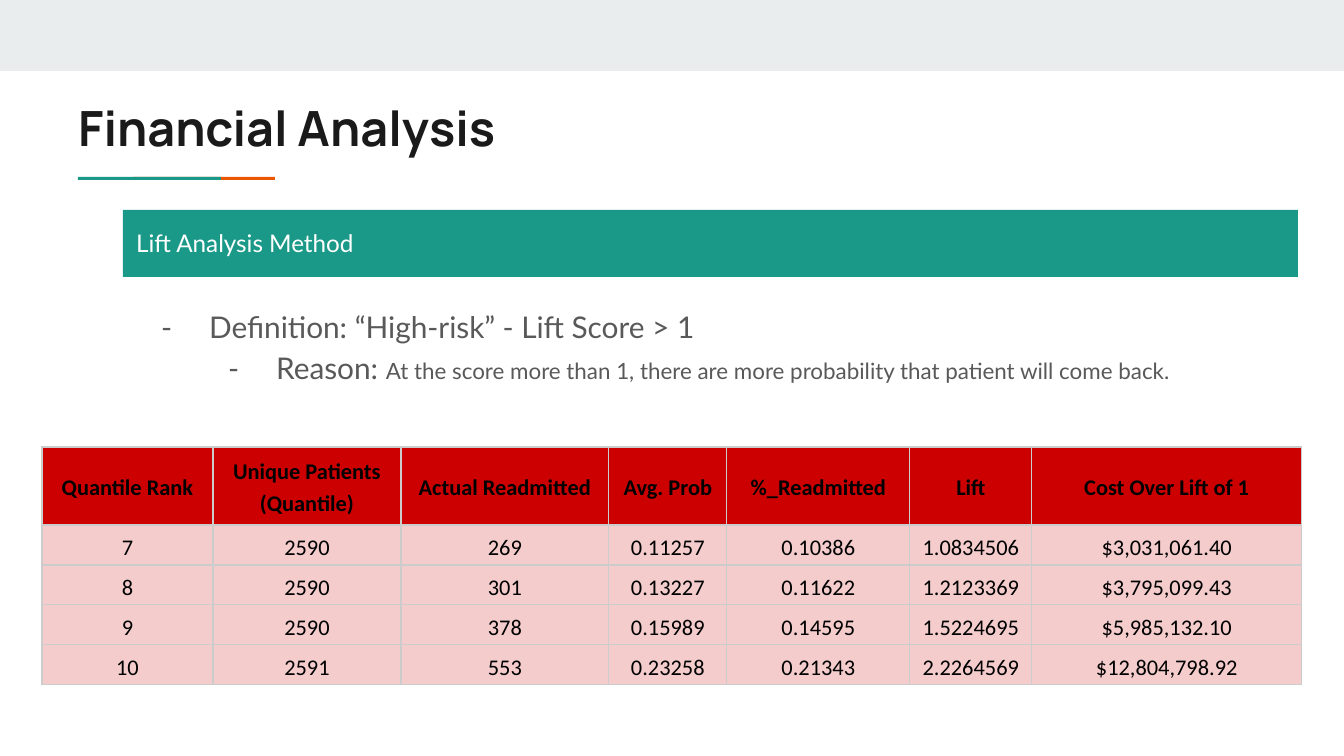
from lxml.etree import SubElement
from pptx import Presentation
from pptx.dml.color import RGBColor
from pptx.enum.shapes import MSO_SHAPE
from pptx.enum.text import MSO_ANCHOR, PP_ALIGN
from pptx.oxml.ns import qn
from pptx.util import Emu, Pt

COLORS = {
    "band": "E9EDEE", "teal": "1A9988", "orange": "EB5600", "title": "1A1A1A",
    "body": "595959", "white": "FFFFFF", "black": "000000",
    "header": "CC0000", "row": "F4CCCC", "border": "CCCCCC",
}

TITLE = "Financial Analysis"
BANNER = "Lift Analysis Method"
BULLETS = [
    [("Definition: “High-risk” - Lift Score > 1", 16)],
    [("Reason: ", 16),
     ("At the score more than 1, there are more probability that patient will come back.", 12)],
]
TABLE = [
    ["Quantile Rank", "Unique Patients\n(Quantile)", "Actual Readmitted", "Avg. Prob",
     "%_Readmitted", "Lift", "Cost Over Lift of 1"],
    ["7", "2590", "269", "0.11257", "0.10386", "1.0834506", "$3,031,061.40"],
    ["8", "2590", "301", "0.13227", "0.11622", "1.2123369", "$3,795,099.43"],
    ["9", "2590", "378", "0.15989", "0.14595", "1.5224695", "$5,985,132.10"],
    ["10", "2591", "553", "0.23258", "0.21343", "2.2264569", "$12,804,798.92"],
]
COL_WIDTHS = [171, 188, 208, 118, 183, 122, 270]
HEADER_HEIGHT, ROW_HEIGHT = 78, 40
RECTS = [  # left, top, width, height, colour
    (0, 0, 1344, 71, "band"),
    (133, 177, 142, 3, "orange"),
    (78, 177, 143, 3, "teal"),
]
LINE_SPACING = 1.15


def px(n):
    return Emu(round(n * 914400 / 134.4))


def rgb(name):
    return RGBColor.from_string(COLORS[name])


def add_rect(left, top, width, height, color):
    sp = slide.shapes.add_shape(MSO_SHAPE.RECTANGLE, px(left), px(top), px(width), px(height))
    sp.shadow.inherit = False
    sp.fill.solid()
    sp.fill.fore_color.rgb = rgb(color)
    sp.line.fill.background()
    return sp


def add_box(left, top, width, height):
    return slide.shapes.add_textbox(px(left), px(top), px(width), px(height))


def prepare_frame(sp):
    tf = sp.text_frame
    tf.word_wrap = True
    tf.vertical_anchor = MSO_ANCHOR.TOP
    tf.margin_left = tf.margin_right = tf.margin_top = tf.margin_bottom = Pt(7.2)
    return tf


def add_run(p, text, size, font, color, bold=False):
    r = p.add_run()
    r.text = text
    r.font.size, r.font.name, r.font.bold = Pt(size), font, bold
    r.font.color.rgb = rgb(color)


def add_dash(p, level):
    p.level = level
    pPr = p._p.get_or_add_pPr()
    pPr.set("marL", str(px(67 * (level + 1))))
    pPr.set("indent", str(px(-48)))
    color = SubElement(pPr, qn("a:buClr"))
    SubElement(color, qn("a:srgbClr"), val=COLORS["body"])
    SubElement(pPr, qn("a:buFont"), typeface="Lato")
    SubElement(pPr, qn("a:buChar"), char="-")


def add_borders(cell):
    tcPr = cell._tc.get_or_add_tcPr()
    for i, side in enumerate(("lnL", "lnR", "lnT", "lnB")):
        ln = tcPr.makeelement(qn(f"a:{side}"), {"w": str(Pt(0.75))})
        fill = SubElement(ln, qn("a:solidFill"))
        SubElement(fill, qn("a:srgbClr"), val=COLORS["border"])
        tcPr.insert(i, ln)


def fill_cell(cell, text, is_header):
    cell.fill.solid()
    cell.fill.fore_color.rgb = rgb("header" if is_header else "row")
    cell.vertical_anchor = MSO_ANCHOR.MIDDLE if is_header else MSO_ANCHOR.BOTTOM
    cell.margin_left = cell.margin_right = px(4)
    cell.margin_top = cell.margin_bottom = px(3)
    tf = cell.text_frame
    for i, line in enumerate(text.split("\n")):
        p = tf.add_paragraph() if i else tf.paragraphs[0]
        p.alignment = PP_ALIGN.CENTER
        p.line_spacing = LINE_SPACING
        add_run(p, line, 12, "Calibri", "black", is_header)
    add_borders(cell)


prs = Presentation()
prs.slide_width, prs.slide_height = px(1344), px(756)
slide = prs.slides.add_slide(prs.slide_layouts[6])

for rect in RECTS:
    add_rect(*rect)

tf = prepare_frame(add_box(65, 85, 1130, 79))
add_run(tf.paragraphs[0], TITLE, 26, "Manrope", "title", True)

tf = prepare_frame(add_rect(123, 210, 1175, 67, "teal"))
p = tf.paragraphs[0]
p.alignment = PP_ALIGN.LEFT
p.line_spacing = LINE_SPACING
add_run(p, BANNER, 13, "Lato", "white")

tf = prepare_frame(add_box(129, 290, 1153, 411))
for level, runs in enumerate(BULLETS):
    p = tf.add_paragraph() if level else tf.paragraphs[0]
    p.line_spacing = LINE_SPACING
    add_dash(p, level)
    for text, size in runs:
        add_run(p, text, size, "Lato", "body")

heights = [HEADER_HEIGHT] + [ROW_HEIGHT] * (len(TABLE) - 1)
table = slide.shapes.add_table(len(TABLE), len(COL_WIDTHS), px(42), px(447),
                               px(sum(COL_WIDTHS)), px(sum(heights))).table
for column, width in zip(table.columns, COL_WIDTHS):
    column.width = px(width)
for i, (row, height) in enumerate(zip(TABLE, heights)):
    table.rows[i].height = px(height)
    for j, text in enumerate(row):
        fill_cell(table.cell(i, j), text, i == 0)

prs.save("out.pptx")
